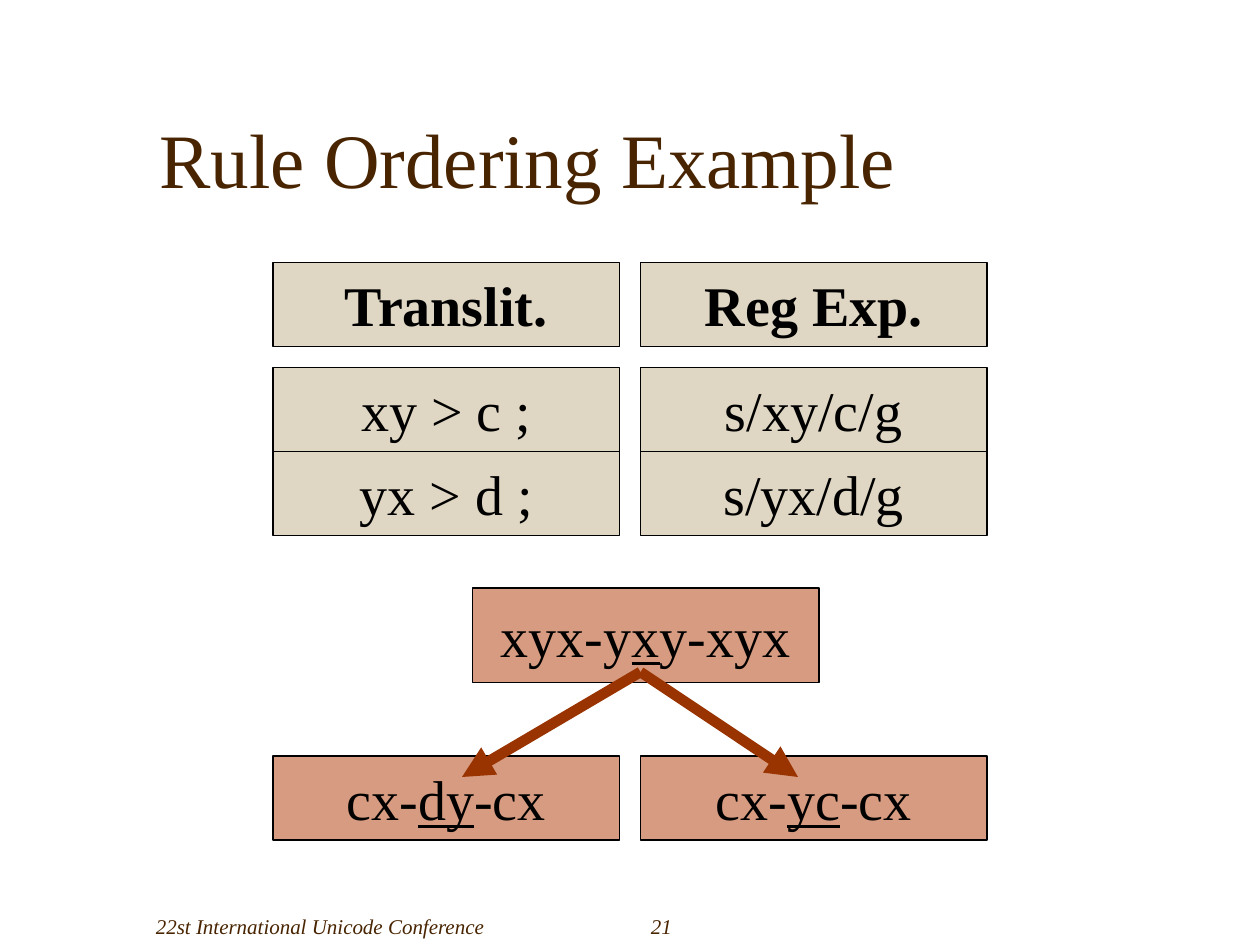
from dataclasses import dataclass

from lxml.etree import SubElement
from pptx import Presentation
from pptx.dml.color import RGBColor
from pptx.enum.shapes import MSO_CONNECTOR, MSO_SHAPE
from pptx.enum.text import MSO_ANCHOR, PP_ALIGN
from pptx.oxml.ns import qn
from pptx.util import Emu, Pt


@dataclass(frozen=True)
class Theme:
    font: str = "Times New Roman"
    ink: str = "000000"
    brown: str = "482400"
    rule_fill: str = "DFD6C3"
    sample_fill: str = "D69B80"
    arrow: str = "993300"
    title_size: int = 44
    cell_size: int = 32
    footer_size: int = 12
    border: float = 0.75
    arrow_width: int = 6


THEME = Theme()
CELL_W, CELL_H, COLUMN_STEP = 264, 64, 280


def px(*lengths):
    return [Emu(length * 9525) for length in lengths]


def write(frame, runs, size, color, align=PP_ALIGN.CENTER,
          anchor=MSO_ANCHOR.MIDDLE, wrap=True, **styles):
    """Write (text, underlined) runs as one paragraph."""
    frame.word_wrap = wrap
    frame.vertical_anchor = anchor
    paragraph = frame.paragraphs[0]
    paragraph.alignment = align
    for text, underlined in runs:
        run = paragraph.add_run()
        run.text = text
        formats = {"name": THEME.font, "size": Pt(size),
                   "underline": underlined, **styles}
        for attribute, value in formats.items():
            setattr(run.font, attribute, value)
        run.font.color.rgb = RGBColor.from_string(color)


def add_cell(slide, box, runs, fill, **styles):
    cell = slide.shapes.add_shape(MSO_SHAPE.RECTANGLE, *px(*box))
    cell.shadow.inherit = False
    cell.fill.solid()
    cell.fill.fore_color.rgb = RGBColor.from_string(fill)
    cell.line.color.rgb = RGBColor.from_string(THEME.ink)
    cell.line.width = Pt(THEME.border)
    write(cell.text_frame, runs, THEME.cell_size, THEME.ink,
          wrap=False, **styles)


def add_arrow(slide, start, end):
    arrow = slide.shapes.add_connector(
        MSO_CONNECTOR.STRAIGHT, *px(*start, *end))
    arrow.line.color.rgb = RGBColor.from_string(THEME.arrow)
    arrow.line.width = Pt(THEME.arrow_width)
    SubElement(arrow.line._get_or_add_ln(), qn("a:tailEnd"), type="triangle")
    SubElement(arrow._element.spPr, qn("a:effectLst"))


def add_title(slide, box, text):
    title = slide.shapes.title
    title.left, title.top, title.width, title.height = px(*box)
    write(title.text_frame, [(text, False)], THEME.title_size, THEME.brown,
          align=PP_ALIGN.LEFT, anchor=MSO_ANCHOR.BOTTOM)


def add_rules(slide, left, top):
    """Two columns of rules, with the headings set apart from the rows."""
    columns = [("Translit.", "xy > c ;", "yx > d ;"),
               ("Reg Exp.", "s/xy/c/g", "s/yx/d/g")]
    row_tops = (0, CELL_H + 16, 2 * CELL_H + 16)
    for column, texts in enumerate(columns):
        for row, (text, row_top) in enumerate(zip(texts, row_tops)):
            box = (left + column * COLUMN_STEP, top + row_top, CELL_W, CELL_H)
            add_cell(slide, box, [(text, False)], THEME.rule_fill,
                     bold=row == 0)


def add_results(slide, left, top):
    """The input string, and what each column of rules makes of it."""
    add_cell(slide, (left + 152, top, CELL_W, 72),
             [("xyx-y", False), ("x", True), ("y-xyx", False)],
             THEME.sample_fill)
    for column, changed in enumerate(("dy", "yc")):
        box = (left + column * COLUMN_STEP, top + 128, CELL_W, CELL_H)
        add_cell(slide, box,
                 [("cx-", False), (changed, True), ("-cx", False)],
                 THEME.sample_fill)
    for end_x in (144, 400):
        add_arrow(slide, (left + 280, top + 64), (left + end_x, top + 144))


def add_footer(slide, top, height):
    parts = [(72, 344, "22st International Unicode Conference"),
             (480, 48, "21")]
    for left, width, text in parts:
        note = slide.shapes.add_textbox(*px(left, top, width, height))
        write(note.text_frame, [(text, False)], THEME.footer_size,
              THEME.brown, anchor=MSO_ANCHOR.BOTTOM, italic=True)


def main():
    deck = Presentation()
    deck.slide_width, deck.slide_height = px(960, 720)
    slide = deck.slides.add_slide(deck.slide_layouts[5])
    add_title(slide, (112, 40, 816, 120), "Rule Ordering Example")
    add_rules(slide, 208, 200)
    add_results(slide, 208, 448)
    add_footer(slide, 672, 48)
    deck.save("out.pptx")


if __name__ == "__main__":
    main()
